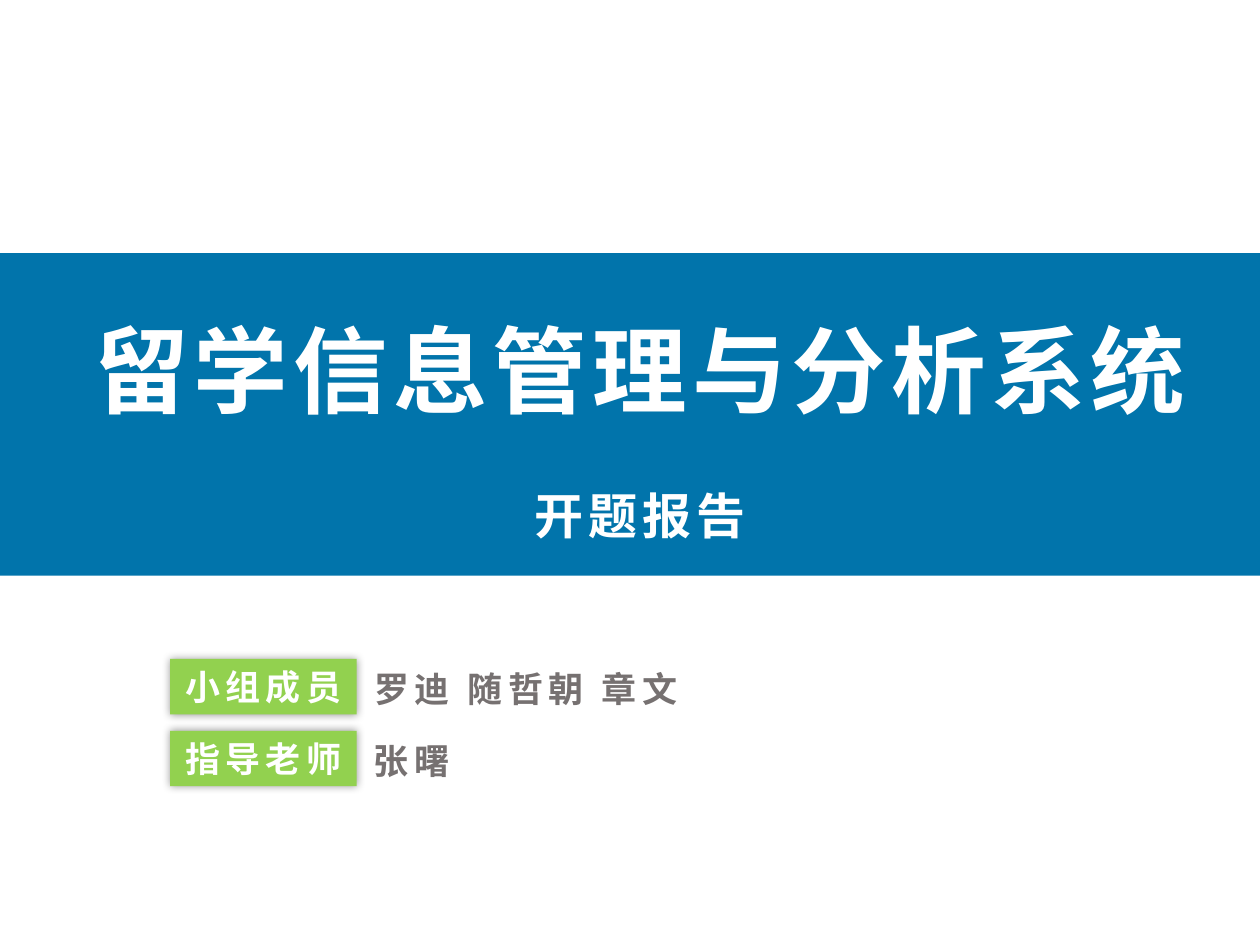
from lxml import etree
from pptx import Presentation
from pptx.dml.color import RGBColor
from pptx.enum import shapes, text
from pptx.oxml import ns
from pptx.util import Inches, Pt

FONT = "Noto Sans CJK SC"
BLUE = RGBColor(0x01, 0x74, 0xAB)
GREEN = RGBColor(0x92, 0xD1, 0x4F)
GRAY = RGBColor(0x76, 0x71, 0x71)
WHITE = RGBColor(0xFF, 0xFF, 0xFF)
CENTER, LEFT = text.PP_ALIGN.CENTER, text.PP_ALIGN.LEFT
TOP, MIDDLE = text.MSO_ANCHOR.TOP, text.MSO_ANCHOR.MIDDLE

HEADINGS = [("留学信息管理与分析系统", 54), ("开题报告", 28)]
PEOPLE = [("小组成员", "罗迪 随哲朝 章文", 4.08), ("指导老师", "张曙", 1.77)]
ROW_TOP, ROW_STEP, ROW_HEIGHT = 5.23, 0.57, 0.44


def place(shape, left, top, width, height):
    bounds = dict(left=left, top=top, width=width, height=height)
    for name, value in bounds.items():
        setattr(shape, name, Inches(value))


def write(shape, lines, color, align, anchor):
    frame = shape.text_frame
    settings = dict(word_wrap=True, vertical_anchor=anchor,
                    auto_size=text.MSO_AUTO_SIZE.NONE)
    for name, value in settings.items():
        setattr(frame, name, value)
    for index, (words, size) in enumerate(lines):
        para = frame.add_paragraph() if index else frame.paragraphs[0]
        layout = dict(alignment=align, line_spacing=1.0,
                      space_before=Pt(34 if index else 0))
        for name, value in layout.items():
            setattr(para, name, value)
        span = para.add_run()
        span.text = words
        for name, value in dict(name=FONT, size=Pt(size), bold=True).items():
            setattr(span.font, name, value)
        span.font.color.rgb = color
        properties = span.font._element
        properties.set("spc", "300")
        etree.SubElement(properties, ns.qn("a:ea"), typeface=FONT)


def add_block(page, bounds, color):
    block = page.shapes.add_shape(
        shapes.MSO_SHAPE.RECTANGLE, *map(Inches, bounds))
    block.shadow.inherit = False
    block.fill.solid()
    block.fill.fore_color.rgb = color
    block.line.fill.background()
    return block


def add_glow(block):
    effects = block._element.spPr.find(ns.qn("a:effectLst"))
    shadow = etree.SubElement(effects, ns.qn("a:outerShdw"),
                              blurRad=str(Pt(5)), algn="ctr", rotWithShape="0")
    black = etree.SubElement(shadow, ns.qn("a:srgbClr"), val="000000")
    etree.SubElement(black, ns.qn("a:alpha"), val="40000")


deck = Presentation()
deck.slide_width, deck.slide_height = Inches(10), Inches(7.5)
page = deck.slides.add_slide(deck.slide_layouts[5])

band = add_block(page, (0, 2.01, 10, 2.56), BLUE)
title = page.shapes.title
title._element.addprevious(band._element)
place(title, 0.53, 2.43, 9.1, 2.22)
write(title, HEADINGS, WHITE, CENTER, TOP)

for row, (role, names, width) in enumerate(PEOPLE):
    top = ROW_TOP + row * ROW_STEP
    label = add_block(page, (1.35, top, 1.48, ROW_HEIGHT), GREEN)
    add_glow(label)
    write(label, [(role, 20)], WHITE, CENTER, MIDDLE)
    bounds = (2.87, top + 0.02, width, ROW_HEIGHT)
    box = page.shapes.add_textbox(*map(Inches, bounds))
    write(box, [(names, 20)], GRAY, LEFT, TOP)

deck.save("out.pptx")
